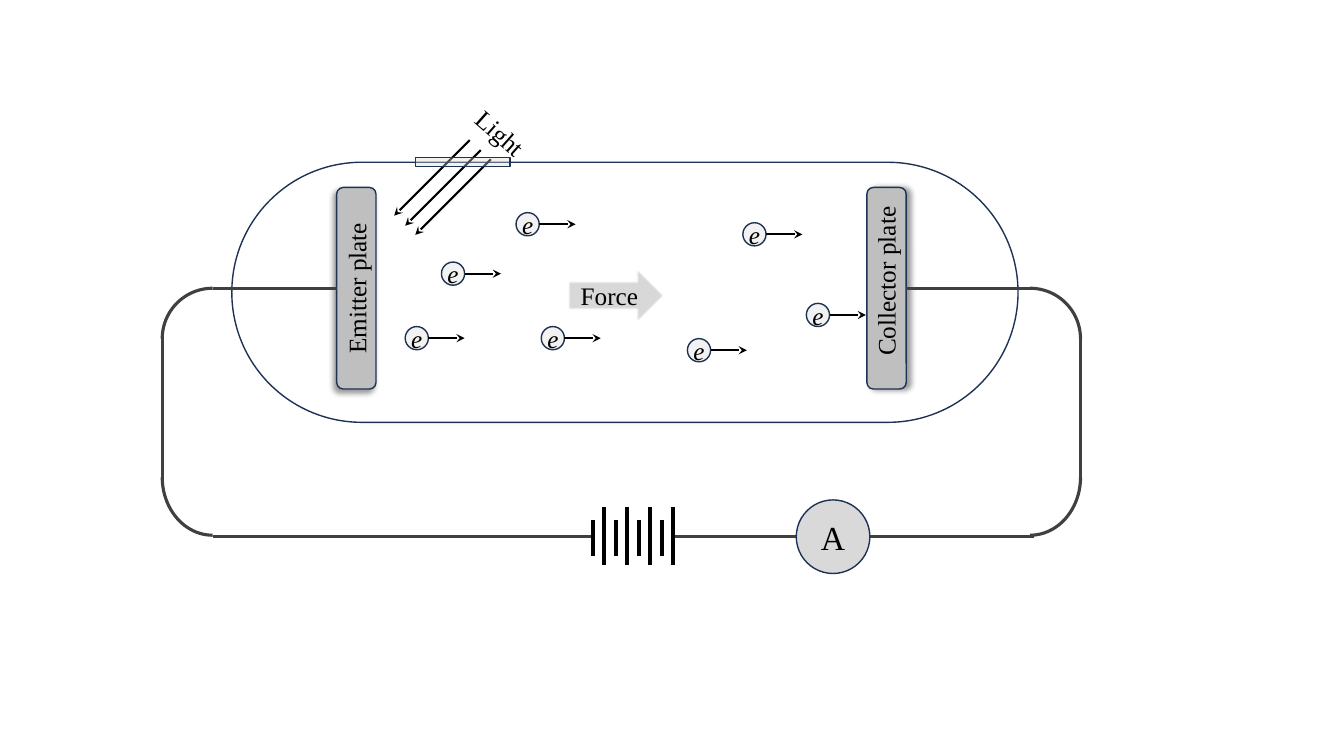
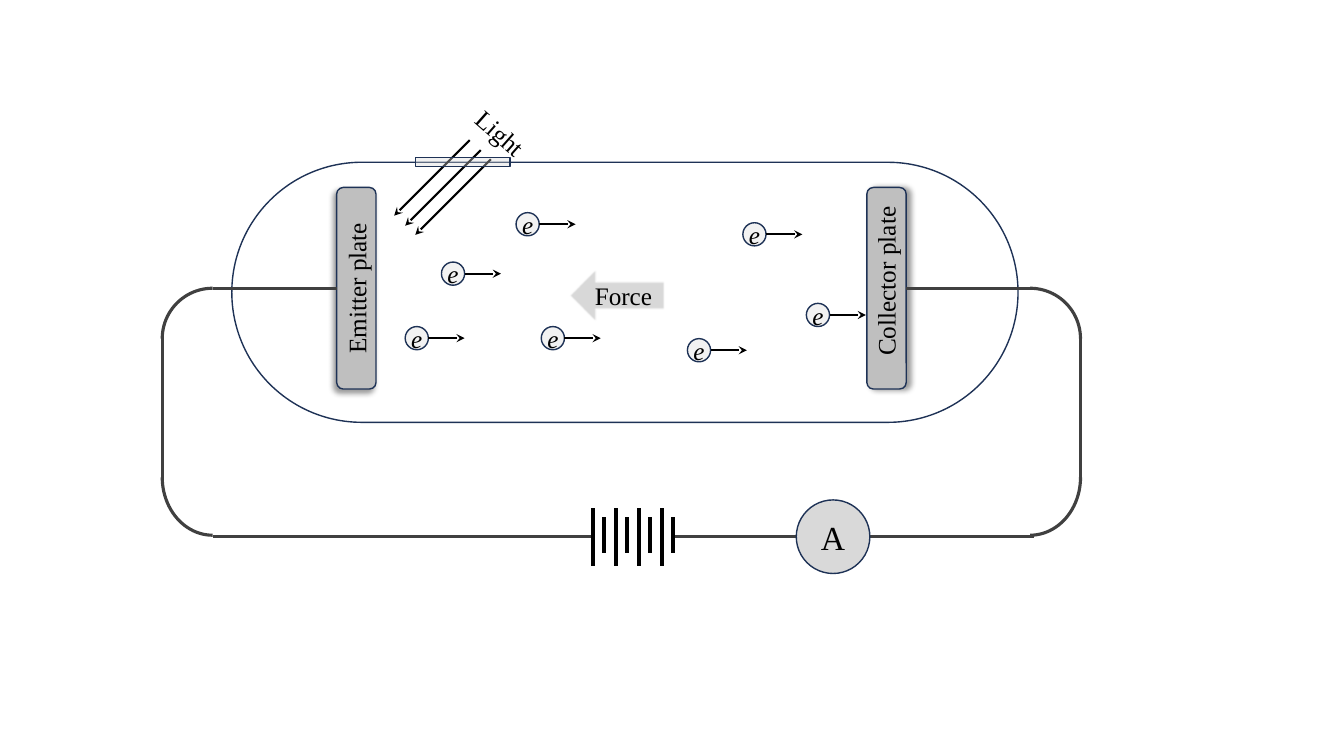
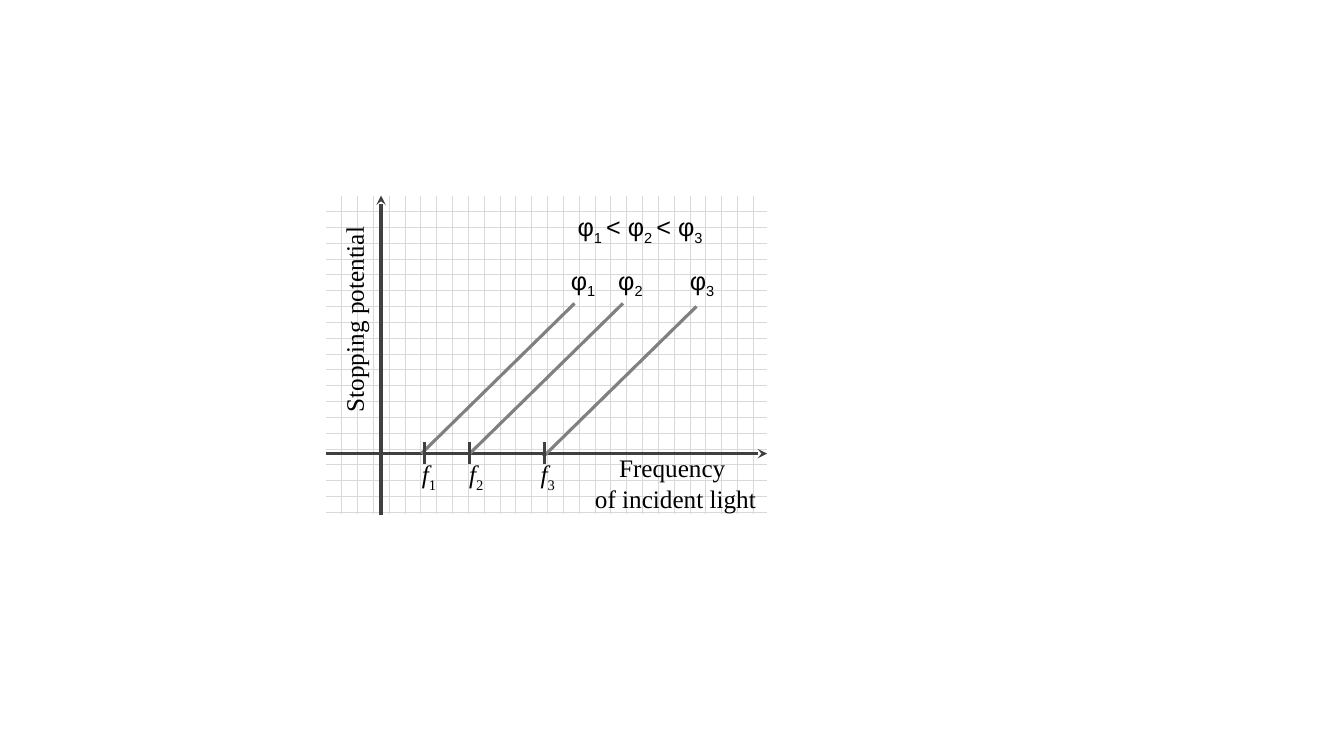
from lxml import etree
from pptx import Presentation
from pptx.dml.color import RGBColor
from pptx.enum.dml import MSO_PATTERN_TYPE
from pptx.enum.shapes import MSO_CONNECTOR, MSO_SHAPE
from pptx.enum.text import MSO_AUTO_SIZE, PP_ALIGN
from pptx.oxml.ns import qn
from pptx.util import Pt

PX = 9144  # 100 px to the inch
WIDE, HIGH = 12192000, 6858000
RECT, ROUND, OVAL = MSO_SHAPE.RECTANGLE, MSO_SHAPE.ROUNDED_RECTANGLE, MSO_SHAPE.OVAL
ARC, RIGHT, LEFT = MSO_SHAPE.ARC, MSO_SHAPE.RIGHT_ARROW, MSO_SHAPE.LEFT_ARROW
LINE, FIT, MID = MSO_CONNECTOR.STRAIGHT, MSO_AUTO_SIZE.SHAPE_TO_FIT_TEXT, PP_ALIGN.CENTER
DOTS = MSO_PATTERN_TYPE.DOTTED_GRID

BLACK, WHITE, NAVY, WIRE = "000000", "FFFFFF", "1E3256", "404040"
PLATE, PALE, SILVER, CURVE = "BFBFBF", "F2F2F2", "D9D9D9", "808080"
SERIF, SANS = "Times New Roman", "Arial"

# Tube content: boxes are left, top, width, height
TUBE, WINDOW = (230, 161, 780, 258), (412, 156, 94, 9)
PLATES = [(334, 186, 39, 200, 135), (860, 186, 39, 200, 0)]  # last: shadow angle
LABELS = [("Light", (445, 117, 103, 30), 41.4),
          ("Emitter plate", (284, 271, 139, 30), 270),
          ("Collector plate", (802, 264, 153, 30), 270)]
RAYS, RAY = [(412, 233), (402, 224), (391, 214)], 75
GRAINS = [(438, 260), (537, 324), (402, 324), (682, 336),
          (512, 211), (737, 221), (800, 301)]
GRAIN, STEP = 23, 36
# Corner boxes with the number of the quarter turn where each arc starts
BENDS = [(161, 286, 100, 100, 2), (161, 416, 100, 115, 1),
         (972, 286, 100, 100, 3), (972, 416, 100, 115, 0)]
METER, FORCE = (790, 496, 73, 73), (564, 265, 95, 56)
CELL, BARS, TALL, SHORT = (588, 503, 80, 59), 8, 58, 36
# Force arrow, top of tall bars, top of short bars, whether a tall bar is first
CASES = [(RIGHT, 503, 516, False), (LEFT, 504, 513, True)]

# Graph content
GRID = (323, 194, 438, 316)
AXES = [(378, 511, 378, 194), (323, 450, 761, 450)]
CURVES, RUN, RISE = [(418, 450), (466, 450), (539, 453)], 152, 149
TICKS, NAMES, GAP = [421, 466, 540], [410, 457, 528], 153
TITLES = [("Frequency\v of incident light", (567, 449, 200, 61), 0),
          ("Stopping potential", (232, 302, 238, 30), 270)]
ORDER = ["φ", "1 ", "< φ", "2 ", "< φ", "3"]


def rgb(code):
    return RGBColor.from_string(code)


def sub(node, tag, **attrs):
    return etree.SubElement(node, qn(tag), attrs)


def write(frame, parts, font=SERIF, size=18, slant=False):
    """Every second part is a subscript."""
    para = frame.paragraphs[0]
    para.text, para.alignment = parts[0], MID
    base = len(para.runs)
    for part in parts[1:]:
        para.add_run().text = part
    for i, run in enumerate(para.runs):
        low = i >= base and (i - base) % 2 == 0
        run.font.name, run.font.size = font, Pt(size)
        run.font.color.rgb = rgb(BLACK)
        run.font.italic = slant and not low
        if low:
            run.font._element.set("baseline", "-25000")


def trim(frame):
    frame.margin_left = frame.margin_right = 0
    frame.margin_top = frame.margin_bottom = 0


def label(slide, parts, box, turn=0, font=SERIF, slant=False):
    item = slide.shapes.add_textbox(*[n * PX for n in box])
    item.rotation = turn
    frame = item.text_frame
    trim(frame)
    frame.word_wrap, frame.auto_size = True, FIT
    write(frame, parts, font, 18, slant)


def shape(slide, kind, box, fill=None, edge=None, width=1):
    item = slide.shapes.add_shape(kind, *[n * PX for n in box])
    item.shadow.inherit = False
    if fill:
        item.fill.solid()
        item.fill.fore_color.rgb = rgb(fill)
    else:
        item.fill.background()
    if edge:
        item.line.color.rgb, item.line.width = rgb(edge), Pt(width)
    else:
        item.line.fill.background()
    return item


def effects(item):
    return item._element.spPr.find(qn("a:effectLst"))


def line(slide, ends, color=WIRE, width=2.25, tip=False):
    item = slide.shapes.add_connector(LINE, *[round(n * PX) for n in ends])
    item.line.color.rgb, item.line.width = rgb(color), Pt(width)
    props = item._element.spPr
    if tip:
        sub(props.find(qn("a:ln")), "a:tailEnd", type="stealth")
    sub(props, "a:effectLst")
    return item


def plate(slide, box, angle):
    item = shape(slide, ROUND, box, PLATE, NAVY)
    cast = sub(effects(item), "a:outerShdw", blurRad=str(Pt(4)), dist=str(Pt(3)),
               dir=str(angle * 60000), rotWithShape="0")
    sub(sub(cast, "a:srgbClr", val=BLACK), "a:alpha", val="40000")
    return item


def tube(slide, arrow, high, low, first):
    # Glass, plates and light
    shape(slide, ROUND, TUBE, WHITE, NAVY).adjustments[0] = 0.5
    source, target = [plate(slide, p[:4], p[4]) for p in PLATES]
    for x, y in RAYS:
        line(slide, (x + RAY, y - RAY, x, y), BLACK, 1.5, True)
    pane = shape(slide, RECT, WINDOW, SILVER, NAVY)
    tint = pane._element.spPr.find(qn("a:solidFill"))[0]
    sub(tint, "a:alpha", val="35000")
    for text, box, turn in LABELS:
        label(slide, [text], box, turn)

    # Electrons
    for x, y in GRAINS:
        dot = shape(slide, OVAL, (x, y, GRAIN, GRAIN), PALE, NAVY)
        trim(dot.text_frame)
        write(dot.text_frame, ["e"], slant=True)
        edge, mid = x + GRAIN, y + GRAIN / 2
        line(slide, (edge, mid, edge + STEP, mid), BLACK, 1.5, True)

    # Circuit
    line(slide, (334, 286, 211, 286)).begin_connect(source, 1)
    line(slide, (899, 286, 1022, 286)).begin_connect(target, 3)
    for x in (161, 1072):
        line(slide, (x, 332, x, 474))
    line(slide, (211, 532, 1026, 532))
    for *box, turn in BENDS:
        bend = shape(slide, ARC, box, None, WIRE, 2.25)
        bend.adjustments[0] = turn * 54  # a quarter turn is 54
        bend.adjustments[1] = (turn + 1) % 4 * 54
    meter = shape(slide, OVAL, METER, SILVER, NAVY)
    write(meter.text_frame, ["A"], size=24)

    # Battery
    shape(slide, RECT, CELL, WHITE)
    for i in range(BARS):
        x = CELL[0] + i * CELL[2] / (BARS - 1)
        top, size = (high, TALL) if (i % 2 == 0) == first else (low, SHORT)
        line(slide, (x, top, x, top + size), BLACK, 3)

    # Force
    force = shape(slide, arrow, FORCE, SILVER)
    sub(effects(force), "a:softEdge", rad=str(Pt(1)))
    write(force.text_frame, ["Force"])


def graph(slide):
    # Grid and axes
    fill = shape(slide, RECT, GRID).fill
    fill.patterned()
    fill.pattern = DOTS
    fill.fore_color.rgb, fill.back_color.rgb = rgb(SILVER), rgb(WHITE)
    for ends in AXES:
        line(slide, ends, tip=True)
    for text, box, turn in TITLES:
        label(slide, [text], box, turn)

    # Curves with their marks
    for i, ((x, y), tick, left) in enumerate(zip(CURVES, TICKS, NAMES), 1):
        line(slide, (x, y, x + RUN, y - RISE), CURVE)
        line(slide, (tick, 460, tick, 439))
        label(slide, ["f", str(i)], (left, 455, 31, 30), slant=True)
        label(slide, ["φ", str(i)], (left + GAP, 263, 31, 30), font=SANS)
    label(slide, ORDER, (509, 210, 252, 61), font=SANS)


def main():
    deck = Presentation()
    deck.slide_width, deck.slide_height = WIDE, HIGH
    blank = deck.slide_layouts[6]
    for case in CASES:
        tube(deck.slides.add_slide(blank), *case)
    graph(deck.slides.add_slide(blank))
    deck.save("out.pptx")


if __name__ == "__main__":
    main()
